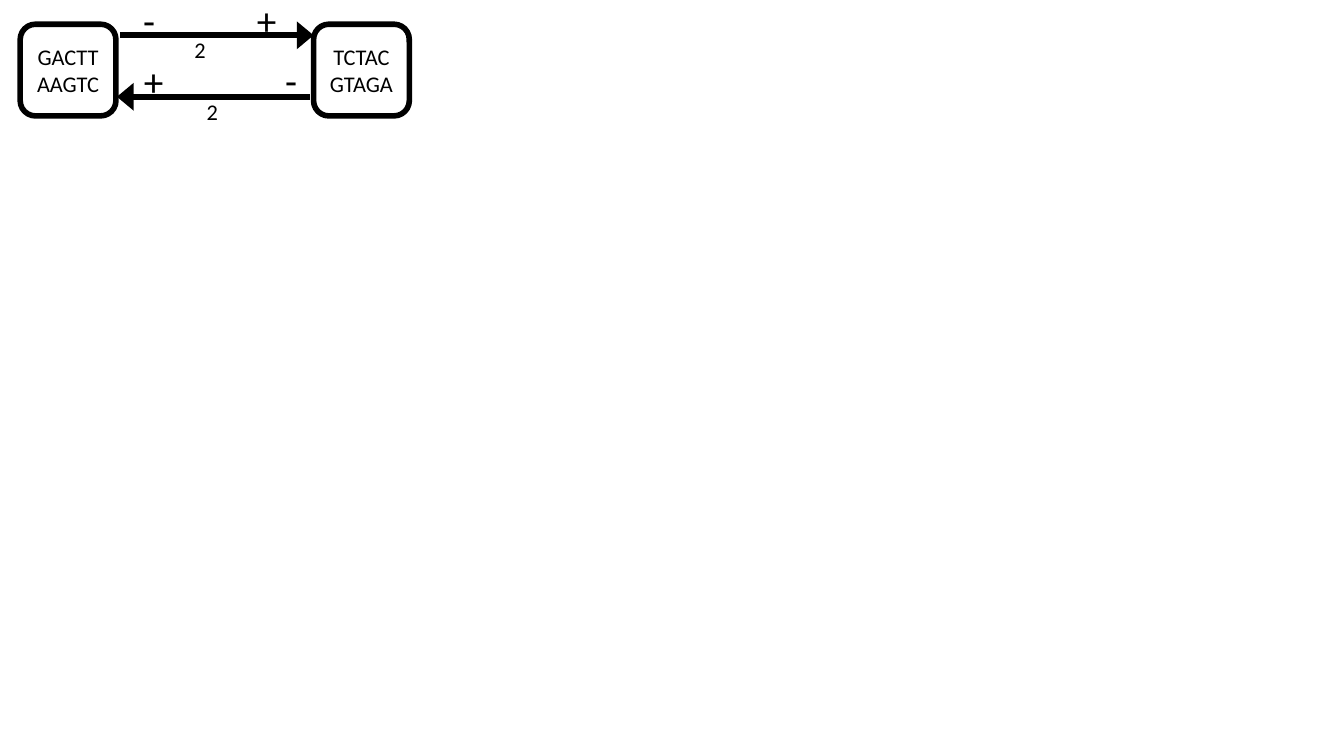
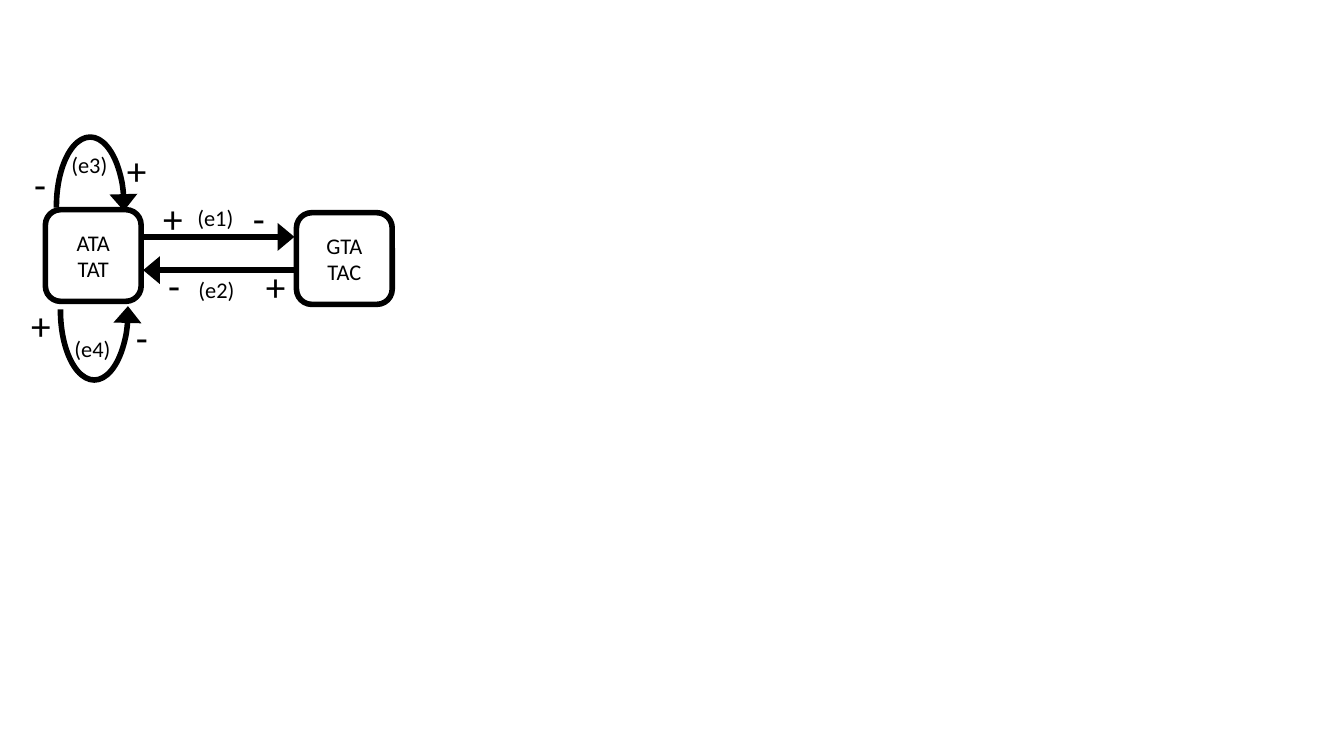
import pptx
import pptx.dml.color
import pptx.enum.shapes
import pptx.enum.text
import pptx.oxml.ns
import pptx.util
from lxml import etree

PX = 9144  # 100 px to the inch
BLACK = "000000"
FONT = {"name": "Calibri"}
NODE_SIZE = (95, 91)
LOOP_SIZE = (67, 138)
LOOP_DEGREES = (178.3, 7.35)
# A label's kind gives its width, height and text size.
LABEL_KINDS = {
    "+": (40, 57, 28),
    "-": (32, 57, 28),
    "2": (32, 37, 16),
    "(": (56, 37, 16),
}

SLIDES = [
    {
        "nodes": [(20, 24, ["GACTT", "AAGTC"]), (311, 24, ["TCTAC", "GTAGA"])],
        "edges": [(119, 311, 35), (307, 116, 96)],
        "loops": [],
        "labels": [
            ("-", 132, -9), ("+", 245, -9), ("2", 183, 31),
            ("+", 133, 52), ("-", 273, 51), ("2", 195, 92),
        ],
    },
    {
        "nodes": [(45, 208, ["ATA", "TAT"]), (294, 211, ["GTA", "TAC"])],
        "edges": [(142, 292, 235), (292, 142, 268)],
        "loops": [(56, 136, False), (60, 239, True)],
        "labels": [
            ("+", 152, 188), ("(e1)", 186, 198), ("-", 241, 188),
            ("-", 157, 254), ("(e2)", 187, 269), ("+", 254, 255),
            ("-", 24, 154), ("(e3)", 61, 145), ("+", 116, 140),
            ("+", 21, 294), ("(e4)", 64, 328), ("-", 125, 306),
        ],
    },
]


def draw_outline(shape, arrow=False):
    """Give a shape or connector the heavy black line, with an arrowhead at its end if asked."""
    shape.line.color.rgb = pptx.dml.color.RGBColor.from_string(BLACK)
    shape.line.width = pptx.util.Pt(4)
    if arrow:
        line = shape.element.spPr.find(pptx.oxml.ns.qn("a:ln"))
        etree.SubElement(line, pptx.oxml.ns.qn("a:tailEnd"), type="triangle", w="lg", len="med")


def write_lines(text_frame, lines, size, alignment):
    text_frame.text = "\n".join(lines)
    for paragraph in text_frame.paragraphs:
        paragraph.alignment = alignment
        for name, value in {**FONT, "size": pptx.util.Pt(size)}.items():
            setattr(paragraph.font, name, value)
        paragraph.font.color.rgb = pptx.dml.color.RGBColor.from_string(BLACK)


presentation = pptx.Presentation()
presentation.slide_width = 1333 * PX
presentation.slide_height = 750 * PX

for graph in SLIDES:
    slide = presentation.slides.add_slide(presentation.slide_layouts[6])

    for left, top, strands in graph["nodes"]:
        width, height = NODE_SIZE
        node = slide.shapes.add_shape(
            pptx.enum.shapes.MSO_SHAPE.ROUNDED_RECTANGLE,
            left * PX, top * PX, width * PX, height * PX)
        node.shadow.inherit = False
        node.fill.background()
        draw_outline(node)
        node.text_frame.vertical_anchor = pptx.enum.text.MSO_ANCHOR.MIDDLE
        write_lines(node.text_frame, strands, 16, pptx.enum.text.PP_ALIGN.CENTER)

    for start, end, y in graph["edges"]:
        edge = slide.shapes.add_connector(
            pptx.enum.shapes.MSO_CONNECTOR.STRAIGHT, start * PX, y * PX, end * PX, y * PX)
        draw_outline(edge, arrow=True)
        etree.SubElement(edge.element.spPr, pptx.oxml.ns.qn("a:effectLst"))

    for left, top, flipped in graph["loops"]:
        width, height = LOOP_SIZE
        loop = slide.shapes.add_shape(
            pptx.enum.shapes.MSO_SHAPE.ARC, left * PX, top * PX, width * PX, height * PX)
        for index, degrees in enumerate(LOOP_DEGREES):
            loop.adjustments[index] = degrees * 0.6
        if flipped:
            loop.element.spPr.xfrm.set("flipV", "1")
        loop.shadow.inherit = False
        loop.fill.background()
        draw_outline(loop, arrow=True)

    for text, left, top in graph["labels"]:
        width, height, size = LABEL_KINDS[text[0]]
        label = slide.shapes.add_textbox(left * PX, top * PX, width * PX, height * PX)
        label.text_frame.word_wrap = False
        label.text_frame.auto_size = pptx.enum.text.MSO_AUTO_SIZE.SHAPE_TO_FIT_TEXT
        write_lines(label.text_frame, [text], size, pptx.enum.text.PP_ALIGN.LEFT)

presentation.save("out.pptx")
